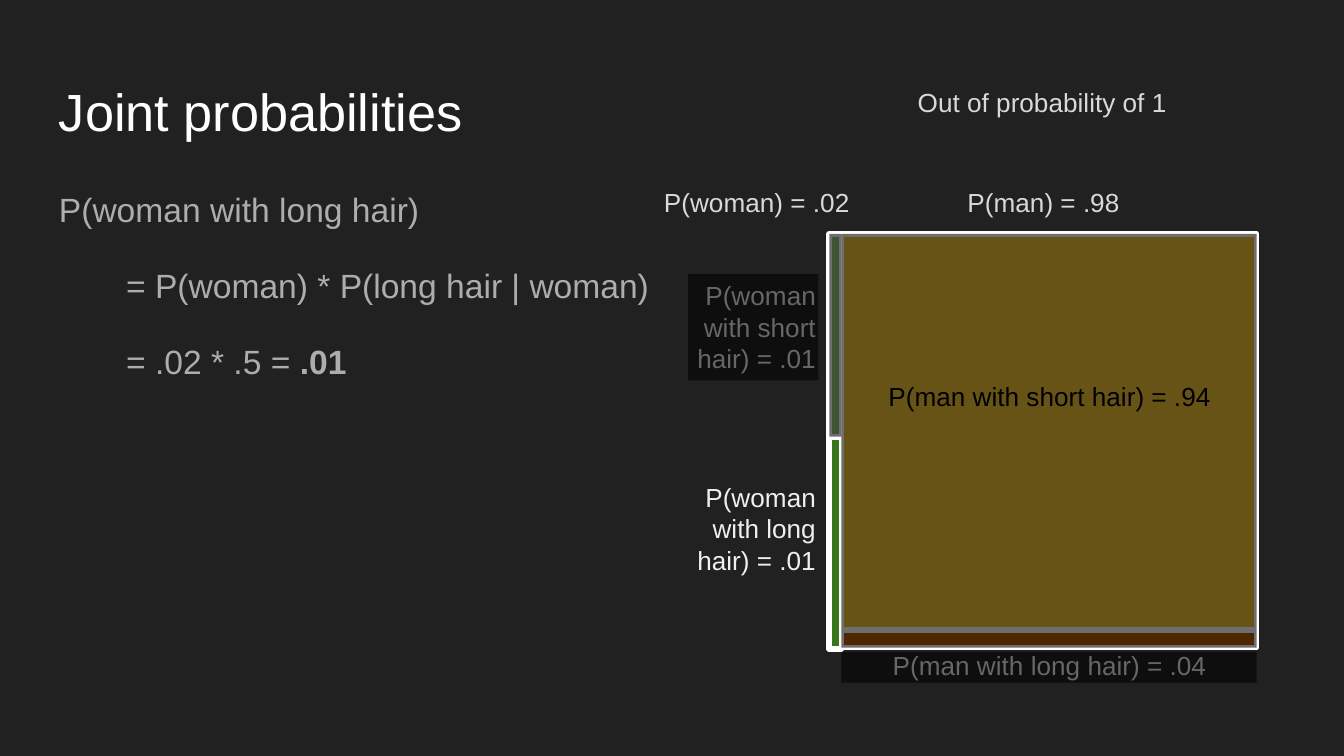
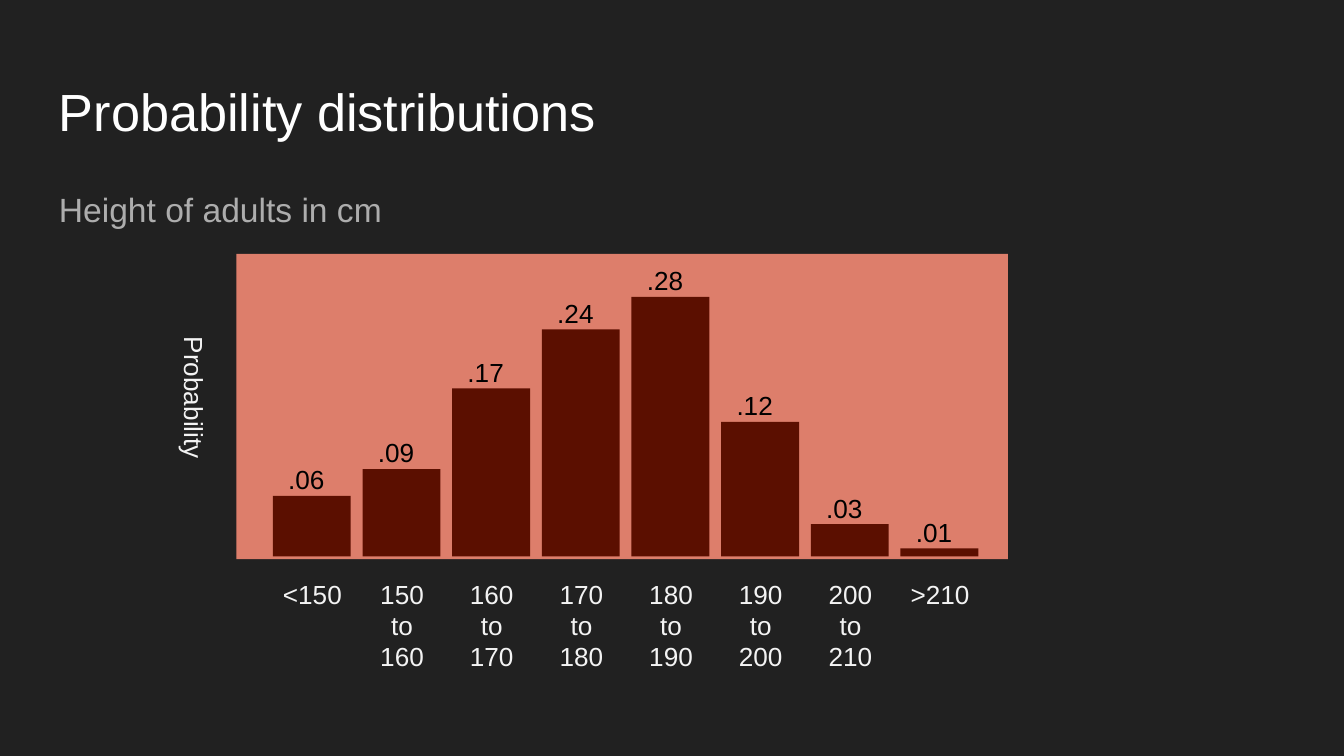
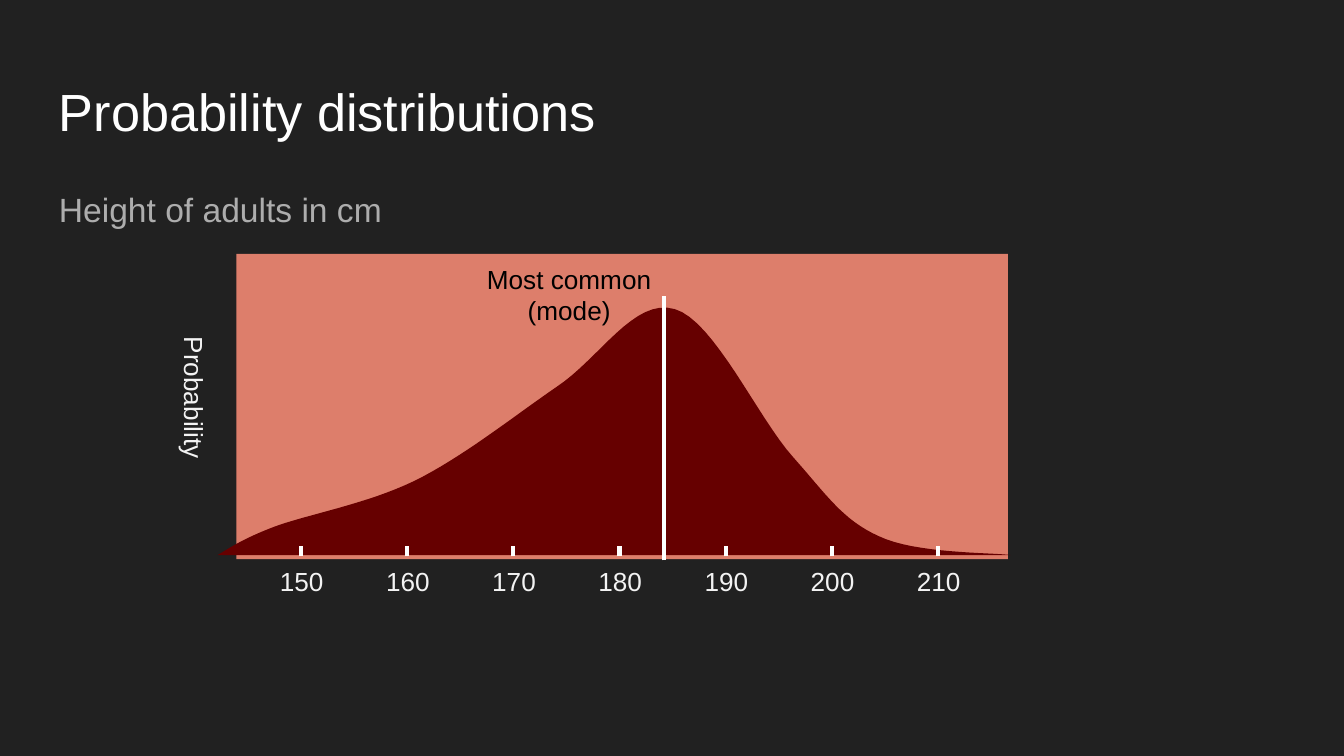
from lxml import etree
from pptx import Presentation
from pptx.dml.color import RGBColor
from pptx.enum.shapes import MSO_CONNECTOR as Connector, MSO_SHAPE as Shape
from pptx.enum.text import PP_ALIGN as Align
from pptx.oxml.ns import qn
from pptx.util import Inches, Pt

FONT = "Arial"
BACKGROUND = "212121"
WHITE = "FFFFFF"
BLACK = "000000"
BODY_GREY = "ADADAD"
HEADING_GREY = "D9D9D9"
LABEL_GREY = "EFEFEF"
AXIS_GREY = "F3F3F3"
PANEL = "DD7E6B"
BAR = "5B0F00"
CURVE = "660000"

BASELINE = 4.14
BARS = [
    ("<150", ".06", 0.45),
    ("150 to 160", ".09", 0.65),
    ("160 to 170", ".17", 1.25),
    ("170 to 180", ".24", 1.69),
    ("180 to 190", ".28", 1.93),
    ("190 to 200", ".12", 1.0),
    ("200 to 210", ".03", 0.24),
    (">210", ".01", 0.06),
]
CURVE_START = (7.52, 4.13)
CURVE_PIECES = [
    ((7.36, 4.11), (6.81, 4.12), (6.54, 3.99)),
    ((6.27, 3.87), (6.15, 3.68), (5.9, 3.4)),
    ((5.64, 3.11), (5.31, 2.38), (5.02, 2.3)),
    ((4.72, 2.21), (4.46, 2.67), (4.14, 2.88)),
    ((3.82, 3.1), (3.43, 3.41), (3.08, 3.58)),
    ((2.73, 3.75), (2.28, 3.83), (2.04, 3.92)),
    ((1.8, 4.01), (1.69, 4.09), (1.62, 4.13)),
]


def colour(hex_code):
    return RGBColor.from_string(hex_code)


def add_page(deck, title):
    page = deck.slides.add_slide(deck.slide_layouts[6])
    page.background.fill.solid()
    page.background.fill.fore_color.rgb = colour(BACKGROUND)
    add_text(page, (0.34, 0.49, 9.32, 0.63), [title], WHITE, 28, Align.LEFT)
    return page


def add_span(para, text, hex_code, size, bold=False):
    span = para.add_run()
    span.text = text
    span.font.name = FONT
    span.font.size = Pt(size)
    span.font.bold = bold
    span.font.color.rgb = colour(hex_code)


def add_frame(page, place):
    box = page.shapes.add_textbox(*map(Inches, place))
    frame = box.text_frame
    frame.word_wrap = True
    frame.margin_left = frame.margin_right = Inches(0.1)
    frame.margin_top = frame.margin_bottom = Inches(0.1)
    return box


def add_text(page, place, lines, hex_code, size=14, align=Align.CENTER):
    box = add_frame(page, place)
    for index, line in enumerate(lines):
        frame = box.text_frame
        para = frame.add_paragraph() if index else frame.paragraphs[0]
        para.alignment = align
        add_span(para, line, hex_code, size)
    return box


def add_body(page, width, height, paragraphs):
    frame = add_frame(page, (0.34, 1.26, width, height)).text_frame
    for index, spans in enumerate(paragraphs):
        para = frame.add_paragraph() if index else frame.paragraphs[0]
        para.line_spacing = 1.15
        if index:
            para.space_before = Pt(16)
            para._p.get_or_add_pPr().set("indent", str(Inches(0.5)))
        for text, bold in spans:
            add_span(para, text, BODY_GREY, 18, bold)


def paint(shape, fill, line=None, opacity=None):
    shape.shadow.inherit = False
    shape.fill.solid()
    shape.fill.fore_color.rgb = colour(fill)
    if opacity:
        tone = shape.fill._xPr.find(qn("a:solidFill"))[0]
        etree.SubElement(tone, qn("a:alpha")).set("val", str(opacity * 1000))
    if line:
        shape.line.color.rgb = colour(line)
        shape.line.width = Pt(3)
    else:
        shape.line.fill.background()


def add_block(page, place, fill, line=None, opacity=None):
    block = page.shapes.add_shape(Shape.RECTANGLE, *map(Inches, place))
    paint(block, fill, line, opacity)


def add_upright(page, x, bottom, top):
    upright = page.shapes.add_connector(
        Connector.STRAIGHT, Inches(x), Inches(bottom), Inches(x), Inches(top))
    upright.line.color.rgb = colour(WHITE)
    upright.line.width = Pt(2.25)
    etree.SubElement(upright._element.spPr, qn("a:effectLst"))


def bezier(start, first, second, end, steps=16):
    for step in range(1, steps + 1):
        t = step / steps
        u = 1 - t
        weights = (u ** 3, 3 * u * u * t, 3 * u * t * t, t ** 3)
        yield tuple(
            Inches(sum(w * v for w, v in zip(weights, values)))
            for values in zip(start, first, second, end))


def add_density(page):
    points = []
    start = CURVE_START
    for piece in CURVE_PIECES:
        points.extend(bezier(start, *piece))
        start = piece[-1]
    builder = page.shapes.build_freeform(*map(Inches, CURVE_START))
    builder.add_line_segments(points, close=True)
    paint(builder.convert_to_shape(), CURVE)


def add_distribution_page(deck):
    page = add_page(deck, "Probability distributions")
    add_block(page, (1.76, 1.89, 5.74, 2.27), PANEL)
    add_body(page, 9.32, 0.63, [[("Height of adults in cm", False)]])
    axis = add_text(page, (0.64, 2.7, 1.53, 0.52), ["Probability"], AXIS_GREY)
    axis.rotation = 90
    return page


def build_joint(deck):
    page = add_page(deck, "Joint probabilities")
    for place, fill in [
        ((6.26, 1.74, 3.09, 2.95), "F1C232"),
        ((6.26, 4.69, 3.09, 0.13), "B45F06"),
        ((6.17, 1.74, 0.09, 1.51), "93C47D"),
        ((6.17, 3.25, 0.09, 1.58), "38761D"),
    ]:
        add_block(page, place, fill, WHITE)
    add_body(page, 4.71, 3.74, [
        [("P(woman with long hair)", False)],
        [("= P(woman) * P(long hair | woman)", False)],
        [("= .02 * .5 = ", False), (".01", True)],
    ])
    for left, top, width, text, tone in [
        (6.9, 1.29, 1.73, "P(man) = .98", HEADING_GREY),
        (6.64, 0.54, 2.23, "Out of probability of 1", HEADING_GREY),
        (6.37, 2.73, 2.88, "P(man with short hair) = .94", BLACK),
        (6.37, 4.73, 2.88, "P(man with long hair) = .04", LABEL_GREY),
    ]:
        add_text(page, (left, top, width, 0.49), [text], tone)
    add_text(page, (4.54, 1.29, 1.88, 0.49), ["P(woman) = .02"],
             HEADING_GREY, align=Align.RIGHT)
    for top, length in [(1.98, "short"), (3.48, "long")]:
        add_text(page, (4.44, top, 1.73, 0.49),
                 ["P(woman", f"with {length}", "hair) = .01"],
                 LABEL_GREY, align=Align.RIGHT)
    for shade in [
        (6.26, 1.74, 3.09, 3.08),
        (6.17, 1.74, 0.09, 1.51),
        (6.26, 4.85, 3.09, 0.23),
        (5.12, 2.04, 0.97, 0.79),
    ]:
        add_block(page, shade, BLACK, opacity=57)


def build_histogram(deck):
    page = add_distribution_page(deck)
    pitch = 4.67 / 7
    for index, (interval, share, height) in enumerate(BARS):
        left = 2.03 + index * pitch
        top = BASELINE - height
        add_text(page, (left - 0.04, 4.2, 0.67, 0.52), [interval], AXIS_GREY)
        add_block(page, (left, top, 0.58, height), BAR)
        add_text(page, (left, top - 0.34, 0.5, 0.38), [share], BLACK)


def build_density(deck):
    page = add_distribution_page(deck)
    add_density(page)
    for index, height in enumerate(range(150, 220, 10)):
        x = 2.24 + 0.79 * index
        add_text(page, (x - 0.33, 4.11, 0.67, 0.52), [str(height)], AXIS_GREY)
        add_upright(page, x, BASELINE, 4.06)
    add_upright(page, 4.94, 4.17, 2.2)
    add_text(page, (3.47, 1.86, 1.53, 0.52), ["Most common", "(mode)"], BLACK)


def main():
    deck = Presentation()
    deck.slide_width = Inches(10)
    deck.slide_height = Inches(10 * 9 / 16)
    build_joint(deck)
    build_histogram(deck)
    build_density(deck)
    deck.save("out.pptx")


if __name__ == "__main__":
    main()
